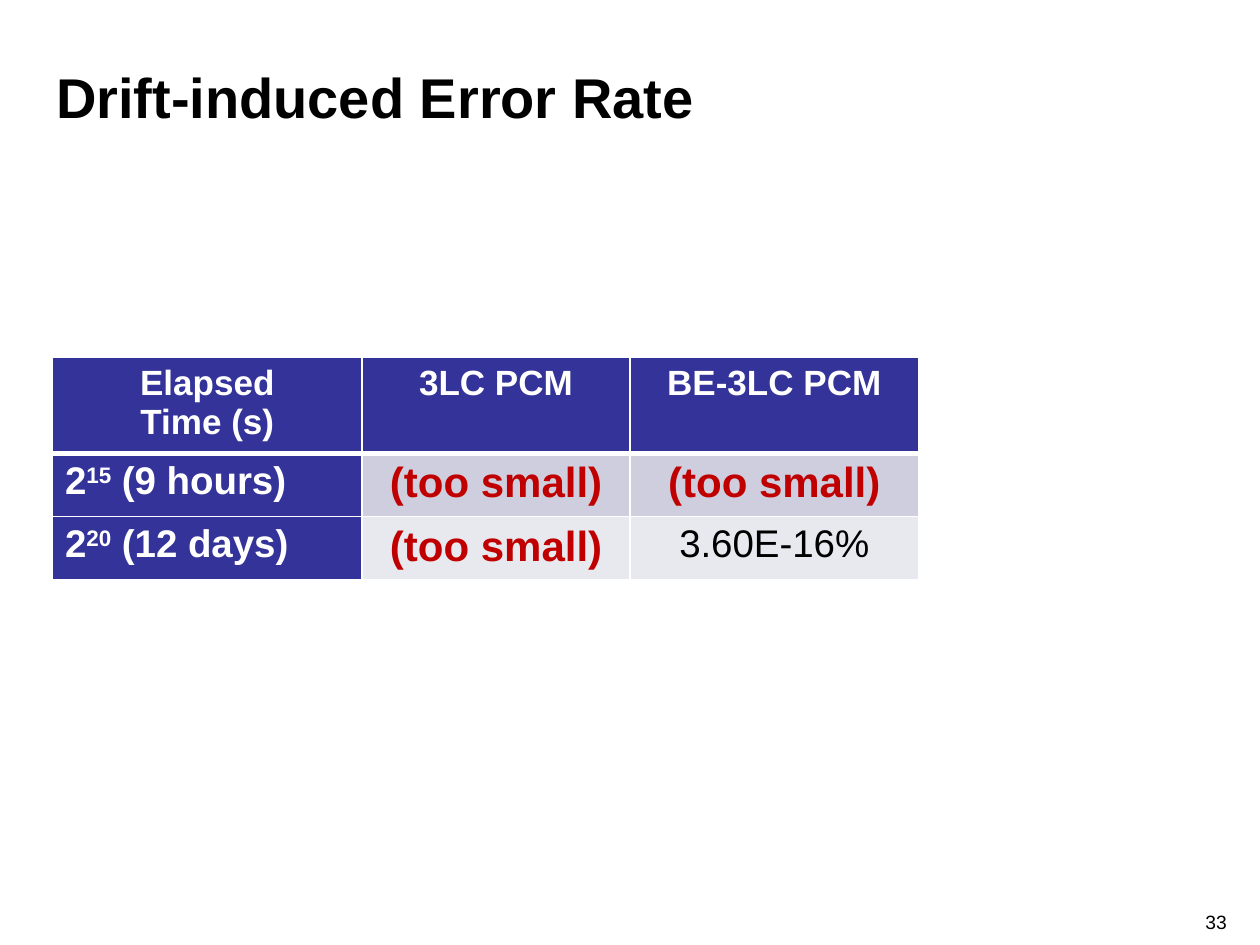
from pptx import Presentation
from pptx.dml.color import RGBColor
from pptx.enum.text import MSO_ANCHOR, PP_ALIGN
from pptx.oxml.ns import qn
from pptx.util import Pt
from lxml.etree import SubElement

COLORS = {
    "black": "000000",
    "white": "FFFFFF",
    "navy": "333399",
    "red": "C00000",
    "band_dark": "CECEDE",
    "band_light": "E8E8EF",
}
FONT = "Arial"
TOO_SMALL = "(too small)"
HEADERS = ["Elapsed\vTime (s)", "3LC PCM", "BE-3LC PCM"]
# Exponent of two, its duration, then the two error rates
ROWS = [
    ("15", " (9 hours)", TOO_SMALL, TOO_SMALL),
    ("20", " (12 days)", TOO_SMALL, "3.60E-16%"),
]
COLUMN_WIDTHS = [177, 153, 165]
HEADER_HEIGHT, ROW_HEIGHT = 52, 34


def rgb(name):
    return RGBColor.from_string(COLORS[name])


def format_runs(paragraph, size, color, bold, align):
    paragraph.alignment = align
    for run in paragraph.runs:
        run.font.name = FONT
        run.font.size = Pt(size)
        run.font.bold = bold
        run.font.color.rgb = rgb(color)


def add_text(slide, box, text, size, bold=False, align=PP_ALIGN.LEFT, margin=0):
    shape = slide.shapes.add_textbox(*(Pt(value) for value in box))
    text_frame = shape.text_frame
    text_frame.word_wrap = True
    text_frame.vertical_anchor = MSO_ANCHOR.MIDDLE
    text_frame.margin_left = text_frame.margin_right = Pt(margin)
    text_frame.margin_top = text_frame.margin_bottom = 0
    text_frame.text = text
    format_runs(text_frame.paragraphs[0], size, "black", bold, align)


def style_cell(cell, fill, top=1, bottom=1):
    """Fill the cell and draw its white borders, widths in points."""
    properties = cell._tc.get_or_add_tcPr()
    for side, width in (("L", 1), ("R", 1), ("T", top), ("B", bottom)):
        line = SubElement(properties, qn(f"a:ln{side}"), w=str(Pt(width)))
        solid = SubElement(line, qn("a:solidFill"))
        SubElement(solid, qn("a:srgbClr"), val=COLORS["white"])
    cell.fill.solid()
    cell.fill.fore_color.rgb = rgb(fill)


def add_error_table(slide, left, top):
    height = HEADER_HEIGHT + ROW_HEIGHT * len(ROWS)
    table = slide.shapes.add_table(
        len(ROWS) + 1, len(HEADERS), Pt(left), Pt(top),
        Pt(sum(COLUMN_WIDTHS)), Pt(height)).table
    for column, width in zip(table.columns, COLUMN_WIDTHS):
        column.width = Pt(width)
    for index, row in enumerate(table.rows):
        row.height = Pt(ROW_HEIGHT if index else HEADER_HEIGHT)

    # Header row
    for column, header in enumerate(HEADERS):
        cell = table.cell(0, column)
        cell.text = header
        style_cell(cell, "navy", bottom=3)
        format_runs(cell.text_frame.paragraphs[0], 20, "white", True, PP_ALIGN.CENTER)

    for index, (exponent, duration, *rates) in enumerate(ROWS, 1):
        top_border = 3 if index == 1 else 1

        # Elapsed time as a power of two
        cell = table.cell(index, 0)
        style_cell(cell, "navy", top=top_border)
        paragraph = cell.text_frame.paragraphs[0]
        for text in ("2", exponent, duration):
            paragraph.add_run().text = text
        format_runs(paragraph, 22, "white", True, PP_ALIGN.LEFT)
        paragraph.runs[1].font._element.set("baseline", "30000")

        # Error rates
        band = "band_dark" if index % 2 else "band_light"
        for column, rate in enumerate(rates, 1):
            cell = table.cell(index, column)
            cell.text = rate
            style_cell(cell, band, top=top_border)
            look = (24, "red", True) if rate == TOO_SMALL else (22, "black", False)
            format_runs(cell.text_frame.paragraphs[0], *look, PP_ALIGN.CENTER)


def main():
    presentation = Presentation()
    presentation.slide_width, presentation.slide_height = Pt(720), Pt(540)
    slide = presentation.slides.add_slide(presentation.slide_layouts[6])

    # Title, table and page number
    add_text(slide, (25, 25, 648, 60), "Drift-induced Error Rate", 32, bold=True, margin=7.2)
    add_error_table(slide, 30, 204)
    add_text(slide, (666, 520, 35, 13), "33", 11, align=PP_ALIGN.RIGHT)

    presentation.save("out.pptx")


if __name__ == "__main__":
    main()
